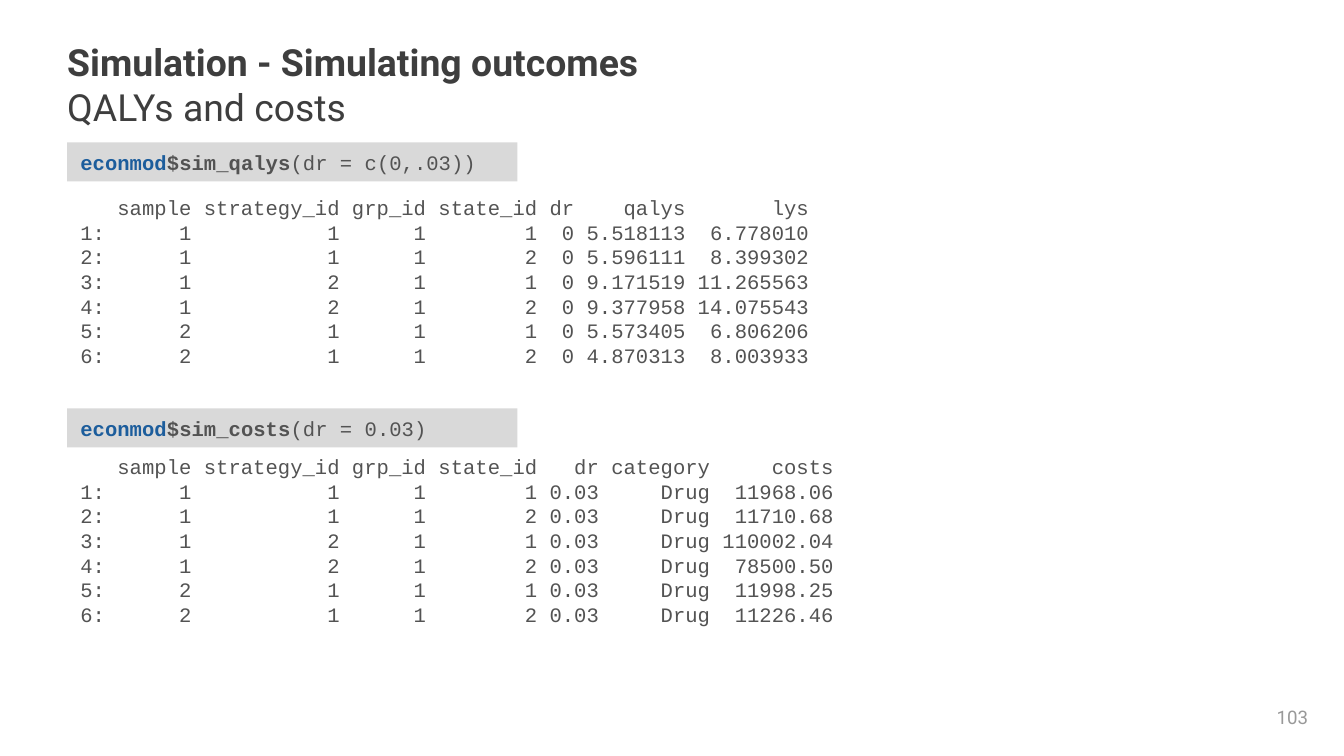
from pptx import Presentation
from pptx.dml.color import RGBColor
from pptx.enum.shapes import MSO_SHAPE as Shape
from pptx.enum.text import MSO_ANCHOR as Anchor, MSO_AUTO_SIZE as Fit, PP_ALIGN as Align
from pptx.util import Cm, Pt

QALYS = """\
   sample strategy_id grp_id state_id dr    qalys       lys
1:      1           1      1        1  0 5.518113  6.778010
2:      1           1      1        2  0 5.596111  8.399302
3:      1           2      1        1  0 9.171519 11.265563
4:      1           2      1        2  0 9.377958 14.075543
5:      2           1      1        1  0 5.573405  6.806206
6:      2           1      1        2  0 4.870313  8.003933"""

COSTS = """\
   sample strategy_id grp_id state_id   dr category     costs
1:      1           1      1        1 0.03     Drug  11968.06
2:      1           1      1        2 0.03     Drug  11710.68
3:      1           2      1        1 0.03     Drug 110002.04
4:      1           2      1        2 0.03     Drug  78500.50
5:      2           1      1        1 0.03     Drug  11998.25
6:      2           1      1        2 0.03     Drug  11226.46"""

LEFT = Cm(1.27)
GREY = "535353"
MONO = "Courier New"


def color(code):
    return RGBColor.from_string(code)


def style(run, face, size, code, bold=False):
    font = run.font
    font.name, font.size, font.bold = face, Pt(size), bold
    font.color.rgb = color(code)


prs = Presentation()
prs.slide_width, prs.slide_height = Cm(25.4), Cm(14.29)
slide = prs.slides.add_slide(prs.slide_layouts[5])
shapes = slide.shapes

# Title and subtitle
title = shapes.title
title.left, title.top, title.width, title.height = LEFT, Cm(0), Cm(22.43), Cm(3.18)
frame = title.text_frame
frame.margin_left = frame.margin_right = frame.margin_top = frame.margin_bottom = 0
frame.vertical_anchor = Anchor.MIDDLE
frame.word_wrap = True
frame.auto_size = Fit.NONE
frame.text = "Simulation - Simulating outcomes\nQALYs and costs"
for para, bold in zip(frame.paragraphs, (True, False)):
    para.alignment = Align.LEFT
    para.line_spacing = Pt(24)
    style(para.runs[0], "Roboto", 20, "3E3E3E", bold)

# Each call in a grey bar, with its console output below
blocks = [
    (2.69, "$sim_qalys", "(dr = c(0,.03))", 3.56, 18.06, QALYS),
    (7.72, "$sim_costs", "(dr = 0.03)", 8.46, 18.67, COSTS),
]
for top, func, args, below, width, output in blocks:
    bar = shapes.add_shape(Shape.RECTANGLE, LEFT, Cm(top), Cm(8.51), Cm(0.74))
    bar.shadow.inherit = False
    bar.fill.solid()
    bar.fill.fore_color.rgb = color("D9D9D9")
    bar.line.fill.background()
    bar.text_frame.word_wrap = True
    para = bar.text_frame.paragraphs[0]
    para.alignment = Align.LEFT
    for part, code, bold in (("econmod", "1C5D9C", True), (func, GREY, True), (args, GREY, False)):
        run = para.add_run()
        run.text = part
        style(run, MONO, 11, code, bold)

    box = shapes.add_textbox(LEFT, Cm(below), Cm(width), Cm(3.56))
    box.text_frame.word_wrap = True
    box.text_frame.text = output
    for para in box.text_frame.paragraphs:
        para.line_spacing = Pt(13.2)
        style(para.runs[0], MONO, 11, GREY)

# Page number
page = shapes.add_textbox(Cm(23.6), Cm(13.18), Cm(1.37), Cm(0.76))
page.text_frame.word_wrap = True
page.text_frame.vertical_anchor = Anchor.MIDDLE
page.text_frame.text = "103"
para = page.text_frame.paragraphs[0]
para.alignment = Align.RIGHT
style(para.runs[0], "Roboto", 10, "999999")

prs.save("out.pptx")
